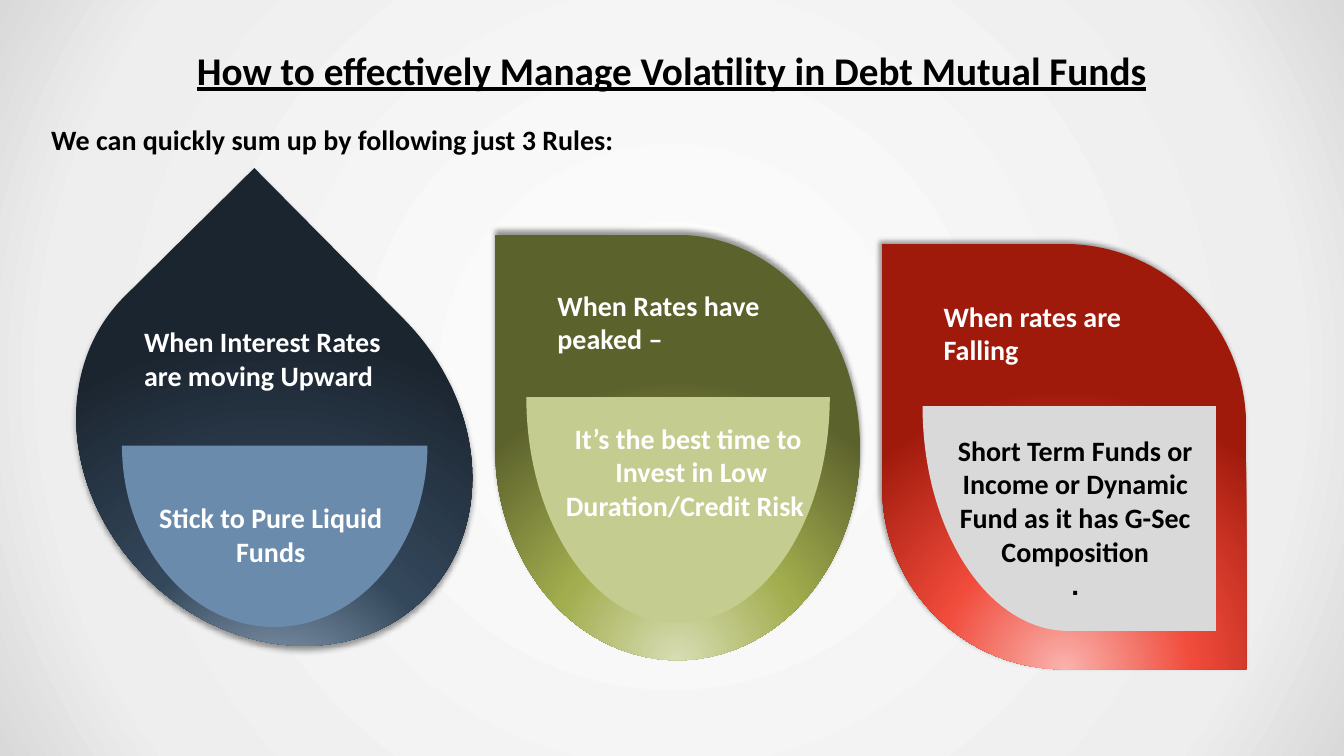
import pptx
import pptx.dml.color
import pptx.enum.shapes
import pptx.enum.text
import pptx.oxml
import pptx.oxml.ns
import pptx.util

PX = 9144  # 100 px to the inch
ARC = 0.5523  # control point distance of a quarter ellipse
COLORS = {
    "black": "000000", "white": "FFFFFF", "mist": "EEEEEE", "grey": "D9D9D9",
    "navy_light": "9CB1C8", "navy_mid": "34485C", "navy_dark": "1B2530", "blue": "6B8BAC",
    "olive_light": "D8DDB4", "olive_mid": "A2AD4E", "olive_dark": "5C622C", "lime": "C5CC8F",
    "red_light": "F9B3AD", "red_mid": "F04B3B", "red_dark": "A01A0C",
}
NS = pptx.oxml.ns.nsdecls("a")
MSO = pptx.enum.shapes.MSO_SHAPE
ALIGN = pptx.enum.text.PP_ALIGN


def set_radial_fill(fill, parent, stops, top, bottom):
    """Give parent a circular gradient; top and bottom place its centre in percent."""
    fill.gradient()
    old = parent.find(pptx.oxml.ns.qn("a:gradFill"))
    gs = "".join(f'<a:gs pos="{pos * 1000}"><a:srgbClr val="{COLORS[name]}"/></a:gs>'
                 for pos, name in stops)
    new = pptx.oxml.parse_xml(
        f'<a:gradFill {NS} rotWithShape="0"><a:gsLst>{gs}</a:gsLst><a:path path="circle">'
        f'<a:fillToRect l="50000" t="{top * 1000}" r="50000" b="{bottom * 1000}"/>'
        f'</a:path></a:gradFill>')
    parent.replace(old, new)


def add_text(shapes, box, lines, size=20, color="white", align=ALIGN.LEFT):
    tb = shapes.add_textbox(*(v * PX for v in box))
    tf = tb.text_frame
    tf.word_wrap = True
    tf.text = "\n".join(lines)
    for p in tf.paragraphs:
        p.alignment = align
        for r in p.runs:
            r.font.name = "Calibri"
            r.font.size = pptx.util.Pt(size)
            r.font.bold = True
            r.font.color.rgb = pptx.dml.color.RGBColor.from_string(COLORS[color])
    return tf


prs = pptx.Presentation()
prs.slide_width, prs.slide_height = 1333 * PX, 750 * PX
s = prs.slides.add_slide(prs.slide_layouts[6])
bg_fill = s.background.fill
bg_fill.solid()
set_radial_fill(bg_fill, s._element.xpath(".//p:bgPr")[0],
                [(0, "white"), (81, "mist"), (100, "grey")], 50, 50)

tf = add_text(s.shapes, (66, 30, 1200, 78),
              ["How to effectively Manage Volatility in Debt Mutual Funds"],
              28, "black", ALIGN.CENTER)
tf.vertical_anchor = pptx.enum.text.MSO_ANCHOR.MIDDLE
tf.margin_left = tf.margin_right = 0
tf.paragraphs[0].runs[0].font.underline = True
add_text(s.shapes, (41, 117, 792, 44),
         ["We can quickly sum up by following just 3 Rules:"], color="black")

# bowl: left, top, right, bottom, centre x, whether the right corner is square
rules = [
    dict(kind=MSO.TEAR, box=(91, 233, 362, 422), rotation=315.3, flip=False, shadow=90,
         hue="navy", bowl=(121, 442, 424, 622, 272, False), bowl_color="blue",
         when_box=(133, 317, 259, 137), when="When Interest Rates are moving Upward",
         advice_box=(139, 492, 259, 111), advice=["Stick to Pure Liquid Funds"],
         advice_color="white"),
    dict(kind=MSO.TEAR, box=(491, 233, 362, 422), rotation=0, flip=True, shadow=270,
         hue="olive", bowl=(522, 394, 823, 618, 672, False), bowl_color="lime",
         when_box=(543, 281, 259, 95), when="When Rates have peaked –",
         advice_box=(515, 413, 335, 151),
         advice=["It’s the best time to", " Invest in Low Duration/Credit Risk "],
         advice_color="white"),
    dict(kind=MSO.ROUND_2_DIAG_RECTANGLE, box=(875, 242, 361, 422), rotation=0, flip=True,
         shadow=225, hue="red", bowl=(915, 403, 1206, 626, 1060, True), bowl_color="grey",
         when_box=(926, 292, 259, 95), when="When rates are Falling",
         advice_box=(925, 425, 283, 178),
         advice=["Short Term Funds or Income or Dynamic Fund as it has G-Sec Composition", "."],
         advice_color="black"),
]

for rule in rules:
    shapes = s.shapes.add_group_shape().shapes
    drop = shapes.add_shape(rule["kind"], *(v * PX for v in rule["box"]))
    drop.rotation = rule["rotation"]
    drop.line.fill.background()
    if rule["kind"] == MSO.ROUND_2_DIAG_RECTANGLE:
        drop.adjustments[0], drop.adjustments[1] = 0.5, 0
    spPr = drop._element.spPr
    if rule["flip"]:
        spPr.xfrm.set("flipH", "1")
    hue = rule["hue"]
    set_radial_fill(drop.fill, spPr,
                    [(0, f"{hue}_light"), (46, f"{hue}_mid"), (100, f"{hue}_dark")], 130, -30)
    spPr.append(pptx.oxml.parse_xml(
        f'<a:effectLst {NS}><a:outerShdw blurRad="{4 * 12700}" dist="{3 * 12700}" '
        f'dir="{rule["shadow"] * 60000}" rotWithShape="0"><a:srgbClr val="{COLORS["black"]}">'
        f'<a:alpha val="40000"/></a:srgbClr></a:outerShdw></a:effectLst>'))

    left, top, right, bottom, cx, square = rule["bowl"]
    arc_y = top + ARC * (bottom - top)
    left_arc = [(cx - ARC * (cx - left), bottom), (left, arc_y), (left, top)]
    right_arc = [(right, arc_y), (cx + ARC * (right - cx), bottom), (cx, bottom)]
    corner = [(right, bottom), (cx, bottom)]
    points = [(right, top)] + (corner if square else right_arc) + left_arc
    builder = shapes.build_freeform(left * PX, top * PX)
    builder.add_line_segments([(round(x * PX), round(y * PX)) for x, y in points], close=True)
    bowl = builder.convert_to_shape()
    segments = bowl._element.xpath(".//a:lnTo")
    arc_start = 3 if square else 1
    for i in range(arc_start, arc_start + (3 if square else 6), 3):
        curve = pptx.oxml.parse_xml(f"<a:cubicBezTo {NS}/>")
        segments[i].addprevious(curve)
        for segment in segments[i:i + 3]:
            curve.append(segment[0])
            segment.getparent().remove(segment)
    bowl.shadow.inherit = False
    bowl.line.fill.background()
    bowl.fill.solid()
    bowl.fill.fore_color.rgb = pptx.dml.color.RGBColor.from_string(COLORS[rule["bowl_color"]])

    add_text(shapes, rule["when_box"], [rule["when"]])
    tf = add_text(shapes, rule["advice_box"], rule["advice"],
                  color=rule["advice_color"], align=ALIGN.CENTER)
    if rule["advice"][-1] == ".":
        tf.paragraphs[-1].runs[0].font.name = "Arial"

prs.save("out.pptx")
